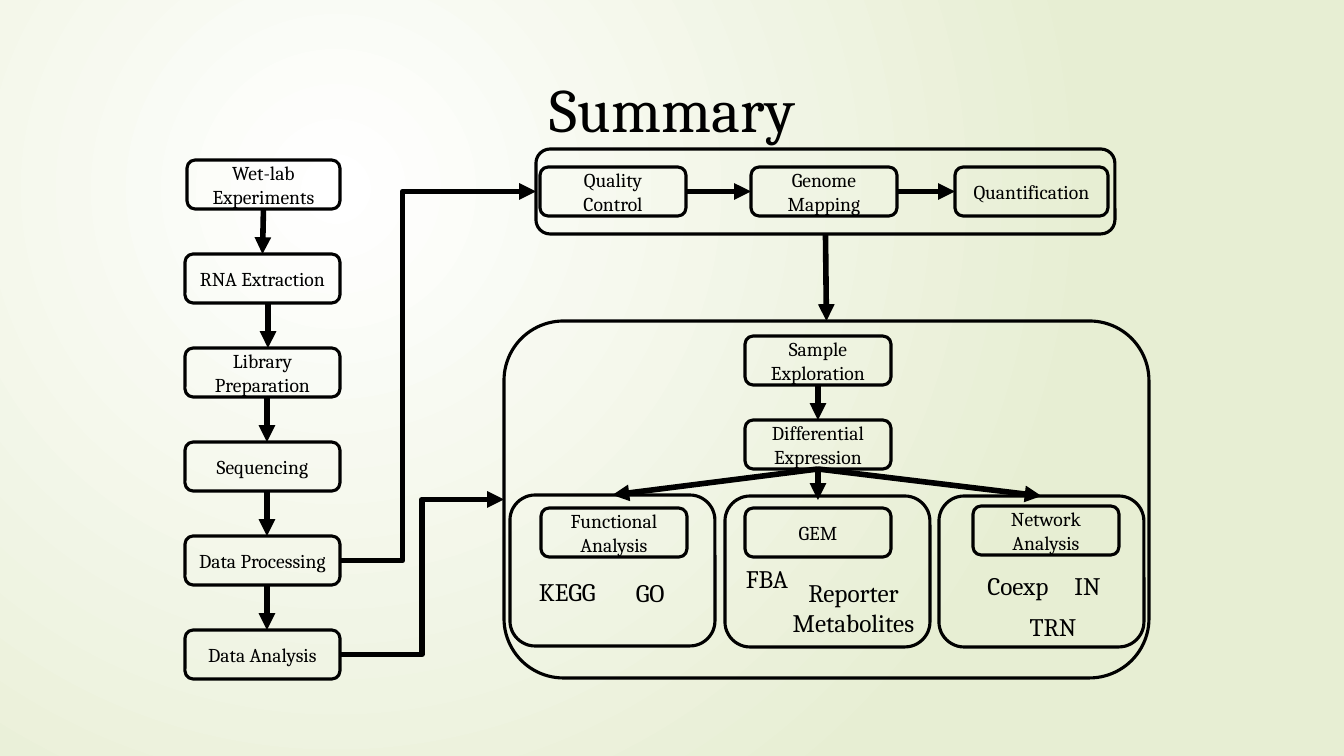
"""Build the Summary slide: a flow chart of an RNA sequencing study."""
from pptx import Presentation
from pptx.dml.color import RGBColor
from pptx.enum.shapes import MSO_CONNECTOR, MSO_SHAPE
from pptx.enum.text import MSO_ANCHOR, MSO_AUTO_SIZE, PP_ALIGN
from pptx.oxml import parse_xml
from pptx.oxml.ns import nsdecls, qn
from pptx.util import Pt

ROUNDED = MSO_SHAPE.ROUNDED_RECTANGLE
STRAIGHT, ELBOW = MSO_CONNECTOR.STRAIGHT, MSO_CONNECTOR.ELBOW
MIDDLE, FIT_TEXT = MSO_ANCHOR.MIDDLE, MSO_AUTO_SIZE.SHAPE_TO_FIT_TEXT
LEFT, CENTER = PP_ALIGN.LEFT, PP_ALIGN.CENTER
TOP_SIDE, LEFT_SIDE, BOTTOM_SIDE, RIGHT_SIDE = range(4)

BLACK = RGBColor(0x00, 0x00, 0x00)
WHITE = RGBColor(0xFF, 0xFF, 0xFF)
PALE_GREEN = RGBColor(0xE7, 0xEE, 0xD3)
FONT = "Cambria"
SLIDE_WIDTH, SLIDE_HEIGHT = 1344, 756
EMU_PER_PX = 12192000 / SLIDE_WIDTH

TITLE = "Summary"
TITLE_AREA = (93, 40, 1159, 146)

STEP_TOP, STEP_PITCH, STEP_HEIGHT = 160, 94, 49
LAB_STEPS = [
    ("Wet-lab Experiments", 187, 153),
    ("RNA Extraction", 185, 155),
    ("Library Preparation", 185, 155),
    ("Sequencing", 185, 155),
    ("Data Processing", 185, 155),
    ("Data Analysis", 185, 155),
]
TASKS = [
    ("Quality Control", 540, 167, 146),
    ("Genome Mapping", 751, 167, 146),
    ("Quantification", 955, 167, 153),
    ("Sample Exploration", 745, 336, 146),
    ("Differential Expression", 745, 420, 146),
    ("Functional Analysis", 541, 508, 146),
    ("GEM", 745, 508, 146),
    ("Network Analysis", 973, 506, 146),
]
FRAMES = {
    "processing": (536, 149, 579, 85),
    "functional": (510, 495, 205, 151),
    "gem": (725, 496, 205, 151),
    "network": (939, 496, 205, 151),
    "analysis": (504, 321, 645, 357),
}
METHODS = [
    ("KEGG", (529, 571, 92, 40), LEFT),
    ("GO", (626, 572, 57, 40), LEFT),
    ("FBA", (736, 558, 70, 40), LEFT),
    ("Reporter\nMetabolites", (777, 572, 153, 72), CENTER),
    ("Coexp", (973, 565, 90, 40), CENTER),
    ("IN", (1063, 565, 49, 40), CENTER),
    ("TRN", (1016, 606, 74, 40), CENTER),
]
JOINED_ARROWS = [
    ("Wet-lab Experiments", BOTTOM_SIDE, "RNA Extraction", TOP_SIDE),
    ("Quality Control", RIGHT_SIDE, "Genome Mapping", LEFT_SIDE),
    ("Genome Mapping", RIGHT_SIDE, "Quantification", LEFT_SIDE),
    ("Sample Exploration", BOTTOM_SIDE, "Differential Expression", TOP_SIDE),
    ("Differential Expression", BOTTOM_SIDE, "functional", TOP_SIDE),
    ("Differential Expression", BOTTOM_SIDE, "network", TOP_SIDE),
    ("processing", BOTTOM_SIDE, "analysis", TOP_SIDE),
]
ELBOW_ARROWS = [
    ("Data Processing", "processing", 32000),
    ("Data Analysis", "analysis", 50000),
]
LOWER_STEP_ARROWS_X = [268, 267, 267, 267]
GEM_ARROW = ((818, 469), (818, 500))


def px(length):
    return round(length * EMU_PER_PX)


def set_text(frame, text, size, alignment):
    frame.text = text
    for para in frame.paragraphs:
        para.alignment = alignment
        para.font.name = FONT
        para.font.size = Pt(size)
        para.font.color.rgb = BLACK


def paint_background(slide):
    fill = slide.background.fill
    fill.gradient()
    for stop, color in zip(fill.gradient_stops, (WHITE, PALE_GREEN)):
        stop.color.rgb = color
    gradient = slide.element.find(".//" + qn("a:gradFill"))
    focus = parse_xml(
        f'<a:path {nsdecls("a")} path="circle">'
        '<a:fillToRect l="50000" t="50000" r="100000" b="100000"/></a:path>')
    gradient.replace(gradient.find(qn("a:lin")), focus)


def add_box(slide, area, label=""):
    box = slide.shapes.add_shape(ROUNDED, *map(px, area))
    box.shadow.inherit = False
    box.fill.background()
    box.line.color.rgb = BLACK
    box.line.width = Pt(2.25)
    if label:
        box.text_frame.vertical_anchor = MIDDLE
        set_text(box.text_frame, label, 14, CENTER)
    return box


def add_arrow(slide, kind, start, end):
    arrow = slide.shapes.add_connector(kind, *start, *end)
    arrow.line.color.rgb = BLACK
    arrow.line.width = Pt(4)
    arrow.line._get_or_add_ln().append(
        parse_xml(f'<a:tailEnd {nsdecls("a")} type="triangle"/>'))
    arrow._element.spPr.append(parse_xml(f'<a:effectLst {nsdecls("a")}/>'))
    return arrow


def side_middle(box, side):
    center_x, center_y = box.left + box.width // 2, box.top + box.height // 2
    return [(center_x, box.top), (box.left, center_y),
            (center_x, box.top + box.height),
            (box.left + box.width, center_y)][side]


def join(slide, kind, source, source_side, target, target_side):
    arrow = add_arrow(slide, kind, side_middle(source, source_side),
                      side_middle(target, target_side))
    arrow.begin_connect(source, source_side)
    arrow.end_connect(target, target_side)
    return arrow


def main():
    deck = Presentation()
    deck.slide_width, deck.slide_height = px(SLIDE_WIDTH), px(SLIDE_HEIGHT)
    slide = deck.slides.add_slide(deck.slide_layouts[5])
    paint_background(slide)

    title = slide.shapes.title
    title.left, title.top, title.width, title.height = map(px, TITLE_AREA)
    title.text_frame.vertical_anchor = MIDDLE
    set_text(title.text_frame, TITLE, 44, CENTER)
    title.text_frame.paragraphs[0].line_spacing = 0.9

    boxes = {}
    for row, (label, left, width) in enumerate(LAB_STEPS):
        area = (left, STEP_TOP + row * STEP_PITCH, width, STEP_HEIGHT)
        boxes[label] = add_box(slide, area, label)
    for label, left, top, width in TASKS:
        boxes[label] = add_box(slide, (left, top, width, STEP_HEIGHT), label)
    for name, area in FRAMES.items():
        boxes[name] = add_box(slide, area)

    for text, area, alignment in METHODS:
        label_box = slide.shapes.add_textbox(*map(px, area))
        label_box.text_frame.word_wrap = False
        label_box.text_frame.auto_size = FIT_TEXT
        set_text(label_box.text_frame, text, 18, alignment)

    for source, source_side, target, target_side in JOINED_ARROWS:
        join(slide, STRAIGHT, boxes[source], source_side,
             boxes[target], target_side)
    for source, target, bend in ELBOW_ARROWS:
        arrow = join(slide, ELBOW, boxes[source], RIGHT_SIDE,
                     boxes[target], LEFT_SIDE)
        geometry = arrow._element.spPr.find(qn("a:prstGeom"))
        geometry.get_or_add_avLst().append(parse_xml(
            f'<a:gd {nsdecls("a")} name="adj1" fmla="val {bend}"/>'))

    free_arrows = [GEM_ARROW]
    for row, x in enumerate(LOWER_STEP_ARROWS_X, start=1):
        step_top = STEP_TOP + row * STEP_PITCH
        free_arrows.append(((x, step_top + STEP_HEIGHT),
                            (x, step_top + STEP_PITCH)))
    for start, end in free_arrows:
        add_arrow(slide, STRAIGHT, map(px, start), map(px, end))

    deck.save("out.pptx")


if __name__ == "__main__":
    main()
